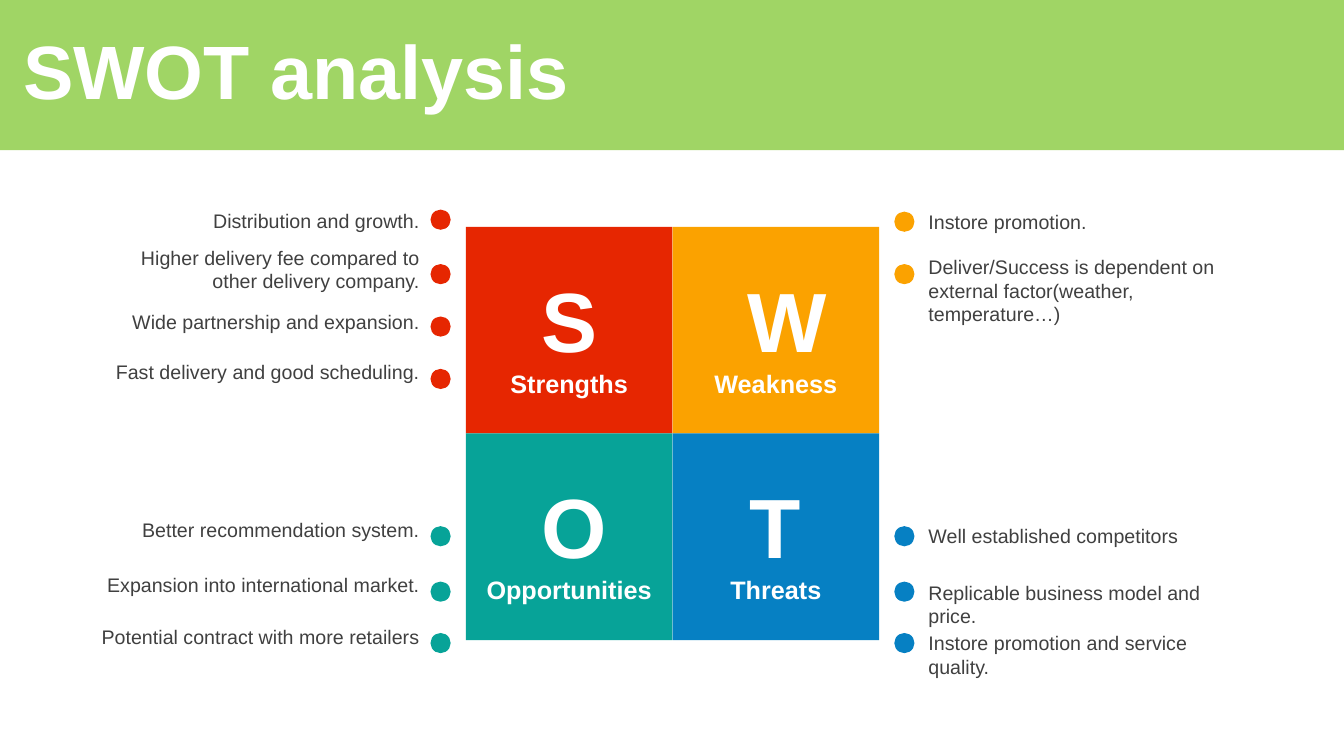
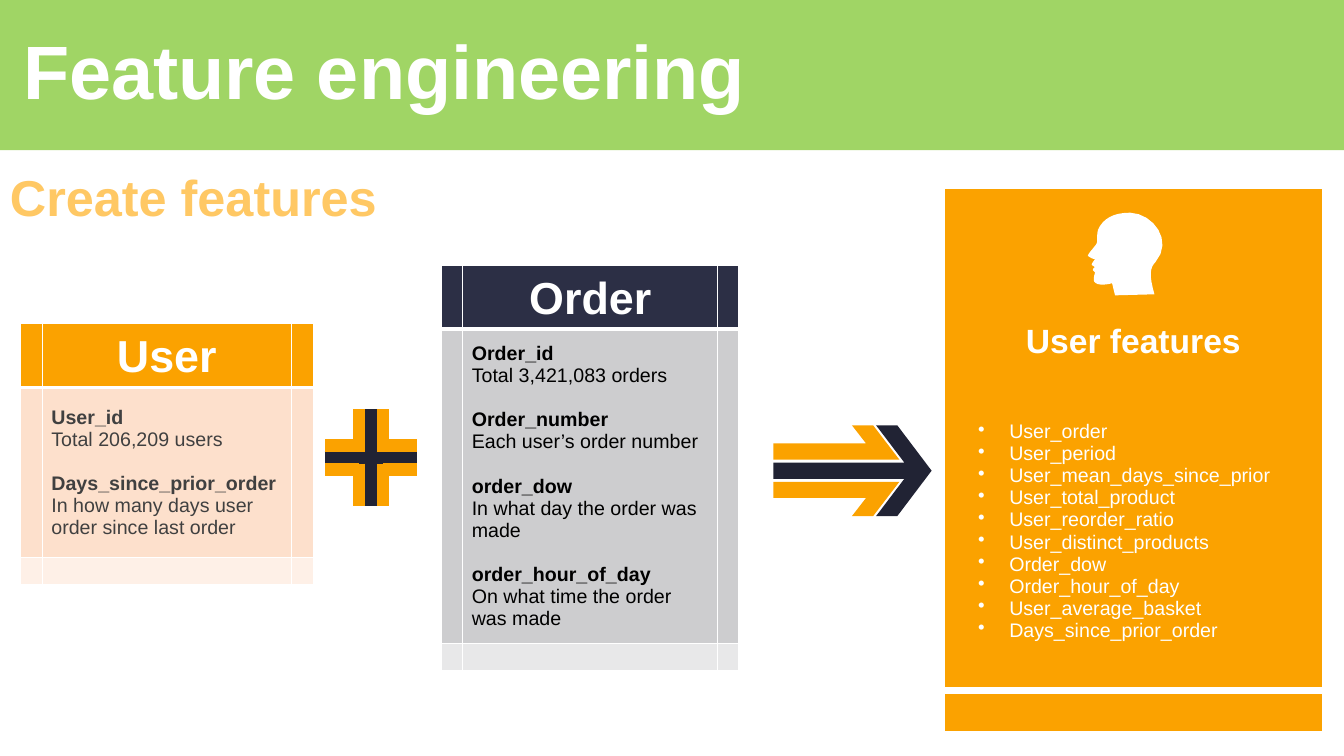
from dataclasses import dataclass

from lxml import etree
from pptx import Presentation
from pptx.dml.color import RGBColor
from pptx.enum import shapes, text
from pptx.oxml import ns
from pptx import util as u


@dataclass(frozen=True)
class Theme:
    font: str = "Arial"
    band: str = "A0D565"
    white: str = "FFFFFF"
    black: str = "000000"
    body: str = "404040"
    accent: str = "FFC864"
    orange: str = "FBA200"
    red: str = "E62601"
    teal: str = "07A398"
    blue: str = "0680C3"
    navy: str = "2C2F45"
    ink: str = "212334"
    title: int = 54
    letter: int = 60
    subtitle: int = 36
    table_head: int = 32
    card_head: int = 24
    label: int = 18
    text: int = 14
    empty: int = 6


T = Theme()
WIDTH, HEIGHT = 13.33, 7.5
LEFT, CENTER, RIGHT = text.PP_ALIGN.LEFT, text.PP_ALIGN.CENTER, text.PP_ALIGN.RIGHT
TOP, MIDDLE, BOTTOM = text.MSO_ANCHOR.TOP, text.MSO_ANCHOR.MIDDLE, text.MSO_ANCHOR.BOTTOM

SWOT = [
    ("S", "Strengths", T.red, [
        (2.08, 2.02, "Distribution and growth."),
        (2.62, 2.39, "Higher delivery fee compared to other delivery company."),
        (3.14, 3.03, "Wide partnership and expansion."),
        (3.66, 3.52, "Fast delivery and good scheduling.")]),
    ("W", "Weakness", T.orange, [
        (2.1, 2.03, "Instore promotion."),
        (2.62, 2.48, "Deliver/Success is dependent on external factor(weather, temperature…)")]),
    ("O", "Opportunities", T.teal, [
        (5.22, 5.09, "Better recommendation system."),
        (5.77, 5.63, "Expansion into international market."),
        (6.28, 6.15, "Potential contract with more retailers")]),
    ("T", "Threats", T.blue, [
        (5.22, 5.15, "Well established competitors"),
        (5.77, 5.71, "Replicable business model and price."),
        (6.28, 6.21, "Instore promotion and service quality.")]),
]
TILE = 2.05
GRID_LEFT, GRID_TOP = 4.62, 2.25
SIDES = [
    {"dot": 4.27, "left": 0.87, "width": 3.39, "align": RIGHT},
    {"dot": 8.87, "left": 9.11, "width": 3.37, "align": LEFT},
]

SOURCES = [
    {"name": "Order", "at": (4.38, 2.63), "cols": (0.21, 2.53, 0.21), "rows": (0.62, 3.12, 0.27),
     "fills": (T.navy, "CDCDCF", "E8E8E9"), "color": T.black,
     "fields": [("Order_id", "Total 3,421,083 orders"),
                ("Order_number", "Each user’s order number"),
                ("order_dow", "In what day the order was made"),
                ("order_hour_of_day", "On what time the order was made")]},
    {"name": "User", "at": (0.2, 3.21), "cols": (0.22, 2.47, 0.22), "rows": (0.62, 1.69, 0.27),
     "fills": (T.orange, "FDE0CC", "FEF0E7"), "color": T.body,
     "fields": [("User_id", "Total 206,209 users"),
                ("Days_since_prior_order", "In how many days user order since last order")]},
]
FEATURES = ["User_order", "User_period", "User_mean_days_since_prior", "User_total_product",
            "User_reorder_ratio", "User_distinct_products", "Order_dow", "Order_hour_of_day",
            "User_average_basket", "Days_since_prior_order"]

HEAD = [
    (11.21, 2.11), (11.04, 2.11, 10.94, 2.17, 10.89, 2.28),
    (10.87, 2.37, 10.9, 2.4, 10.86, 2.44), (10.83, 2.48, 10.79, 2.52, 10.79, 2.54),
    (10.81, 2.55, 10.83, 2.57, 10.86, 2.57), (10.85, 2.59, 10.82, 2.62, 10.83, 2.63),
    (10.86, 2.65), (10.85, 2.66, 10.84, 2.66, 10.84, 2.68),
    (10.84, 2.69, 10.87, 2.7, 10.86, 2.71), (10.85, 2.74, 10.84, 2.79, 10.86, 2.8),
    (10.88, 2.83, 10.96, 2.83, 11.03, 2.81), (11.06, 2.93), (11.45, 2.92),
    (11.4, 2.74, 11.4, 2.66, 11.46, 2.6), (11.64, 2.39, 11.44, 2.12, 11.21, 2.11),
]
ARROW_AXIS = 4.67
ARROW = [(8.69, 4.22), (8.9, 4.22), (9.24, 4.67), (8.9, 5.12), (8.69, 5.12),
         (8.97, 4.75), (7.67, 4.75), (7.67, 4.59), (8.97, 4.59)]
FIN = [(8.45, 4.22), (8.66, 4.22), (8.92, 4.56), (7.67, 4.56), (7.67, 4.4), (8.59, 4.4)]
PLUS = {"x": 3.68, "y": 4.54, "reach_x": 0.46, "reach_y": 0.48,
        "offset": 0.12, "gap_x": 0.12, "gap_y": 0.06, "weight": 9}


def apply(target, values):
    for name, value in values.items():
        setattr(target, name, value)


def rgb(color):
    return RGBColor.from_string(color)


def paint(shape, color):
    shape.shadow.inherit = False
    shape.fill.solid()
    shape.fill.fore_color.rgb = rgb(color)
    shape.line.fill.background()


def write(para, words, size, color, bold=False, **layout):
    apply(para, layout)
    span = para.add_run()
    span.text = words
    apply(span.font, {"name": T.font, "size": u.Pt(size), "bold": bold})
    span.font.color.rgb = rgb(color)


def add_text(page, area, words, size, color, bold=False, anchor=TOP, inset_y=0.05, **layout):
    box = page.shapes.add_textbox(*map(u.Inches, area))
    apply(box.text_frame, {"word_wrap": True, "vertical_anchor": anchor,
                           "margin_top": u.Inches(inset_y), "margin_bottom": u.Inches(inset_y)})
    write(box.text_frame.paragraphs[0], words, size, color, bold, **layout)


def add_block(page, kind, area, color):
    paint(page.shapes.add_shape(kind, *map(u.Inches, area)), color)


def add_outline(page, points, color):
    scaled = [tuple(map(u.Inches, point)) for point in points]
    builder = page.shapes.build_freeform(*scaled[0])
    builder.add_line_segments(scaled[1:], close=True)
    paint(builder.convert_to_shape(), color)


def flatten(segments, steps=8):
    points = [segments[0]]
    for segment in segments[1:]:
        if len(segment) == 2:
            points.append(segment)
            continue
        start, first, second, end = points[-1], segment[:2], segment[2:4], segment[4:]
        for step in range(1, steps + 1):
            t = step / steps
            points.append(tuple(
                (1 - t) ** 3 * a + 3 * (1 - t) ** 2 * t * b + 3 * (1 - t) * t ** 2 * c + t ** 3 * d
                for a, b, c, d in zip(start, first, second, end)))
    return points


def add_line(page, ends, color, weight):
    line = page.shapes.add_connector(shapes.MSO_CONNECTOR.STRAIGHT, *map(u.Inches, ends))
    line.line.color.rgb = rgb(color)
    line.line.width = u.Pt(weight)
    etree.SubElement(line._element.spPr, ns.qn("a:effectLst"))


def add_grid(page, at, cols, rows):
    frame = page.shapes.add_table(len(rows), len(cols),
                                  *map(u.Inches, (*at, sum(cols), sum(rows))))
    table = frame.table
    apply(table, {"first_row": False, "horz_banding": False})
    table._tbl.tblPr.find(ns.qn("a:tableStyleId")).text = "{2D5ABB26-0587-4C30-8999-92F81FD0307C}"
    for col, width in zip(table.columns, cols):
        col.width = u.Inches(width)
    for row, height in zip(table.rows, rows):
        row.height = u.Inches(height)
    return table


def format_cell(cell, color, borders):
    props = cell._tc.get_or_add_tcPr()
    for side in "LRTB":
        if side in borders:
            line = etree.SubElement(props, ns.qn("a:ln" + side), w=str(u.Pt(borders[side])))
            fill = etree.SubElement(line, ns.qn("a:solidFill"))
            etree.SubElement(fill, ns.qn("a:srgbClr"), val=T.white)
    cell.fill.solid()
    cell.fill.fore_color.rgb = rgb(color)


def shrink_empty(table):
    for cell in table.iter_cells():
        if not cell.text_frame.text:
            apply(cell, dict.fromkeys(
                ("margin_left", "margin_right", "margin_top", "margin_bottom"), 0))
            cell.text_frame.paragraphs[0]._p.get_or_add_endParaRPr().set("sz", str(T.empty * 100))


def next_para(frame, index):
    return frame.add_paragraph() if index else frame.paragraphs[0]


def add_source(page, source):
    table = add_grid(page, source["at"], source["cols"], source["rows"])
    for r, color in enumerate(source["fills"]):
        for c in range(len(source["cols"])):
            format_cell(table.cell(r, c), color,
                        {"L": 1, "R": 1, "T": 3 if r == 1 else 1, "B": 1 if r else 3})
    head, body = table.cell(0, 1), table.cell(1, 1)
    for cell, anchor in ((head, BOTTOM), (body, MIDDLE)):
        apply(cell, {"vertical_anchor": anchor,
                     "margin_left": u.Inches(0.09), "margin_right": u.Inches(0.09)})
    write(head.text_frame.paragraphs[0], source["name"], T.table_head, T.white, True,
          alignment=CENTER)
    for index, (field, meaning) in enumerate(source["fields"]):
        gap = {"space_before": u.Pt(16)} if index else {}
        write(next_para(body.text_frame, index), field, T.text, source["color"], True, **gap)
        write(body.text_frame.add_paragraph(), meaning, T.text, source["color"])
    shrink_empty(table)


def add_feature_card(page):
    table = add_grid(page, (9.37, 1.88), (0.23, 3.27, 0.23), (1.28, 0.53, 3.16, 0.4))
    for r in range(4):
        borders = {2: {"B": 6}, 3: {"T": 6}}.get(r, {})
        for c in range(3):
            format_cell(table.cell(r, c), T.orange, borders)
        if r != 2:
            table.cell(r, 0).merge(table.cell(r, 2))
    write(table.cell(1, 0).text_frame.paragraphs[0], "User features", T.card_head, T.white, True,
          alignment=CENTER)
    body = table.cell(2, 1)
    body.vertical_anchor = MIDDLE
    indent = u.Inches(0.31)
    for index, feature in enumerate(FEATURES):
        para = next_para(body.text_frame, index)
        props = para._p.get_or_add_pPr()
        props.set("marL", str(indent))
        props.set("indent", str(-indent))
        etree.SubElement(props, ns.qn("a:buChar"), char="•")
        write(para, feature, T.text, T.white)
    shrink_empty(table)


def add_plus(page):
    x, y, weight, offset = PLUS["x"], PLUS["y"], PLUS["weight"], PLUS["offset"]
    reach_x, reach_y = PLUS["reach_x"], PLUS["reach_y"]
    add_line(page, (x, y - reach_y, x, y + reach_y), T.ink, weight)
    add_line(page, (x - reach_x, y, x + reach_x, y), T.ink, weight)
    for h in (-1, 1):
        for v in (-1, 1):
            side, level = x + h * offset, y + v * offset
            add_line(page, (side, y + v * PLUS["gap_y"], side, y + v * reach_y), T.orange, weight)
            add_line(page, (x + h * PLUS["gap_x"], level, x + h * reach_x, level),
                     T.orange, weight)


def add_page(deck, title):
    page = deck.slides.add_slide(deck.slide_layouts[6])
    add_block(page, shapes.MSO_SHAPE.RECTANGLE, (0, 0, WIDTH, 1.49), T.band)
    add_text(page, (0.13, 0.35, 13.11, 0.79), title, T.title, T.white, True, MIDDLE,
             line_spacing=0.9)
    return page


def build_swot(deck):
    page = add_page(deck, "SWOT analysis")
    for index, (letter, label, color, points) in enumerate(SWOT):
        row, col = divmod(index, 2)
        left, top = GRID_LEFT + col * TILE, GRID_TOP + row * TILE
        add_block(page, shapes.MSO_SHAPE.RECTANGLE, (left, top, TILE, TILE), color)
        add_text(page, (left + 0.65, top + 0.41, 0.74, 1.01), letter, T.letter, T.white, True,
                 inset_y=0, alignment=CENTER)
        add_text(page, (left, top + 1.35, TILE, 0.4), label, T.label, T.white, True, MIDDLE,
                 alignment=CENTER)
        side = SIDES[col]
        for dot_top, text_top, words in points:
            add_block(page, shapes.MSO_SHAPE.FLOWCHART_CONNECTOR,
                      (side["dot"], dot_top, 0.2, 0.2), color)
            add_text(page, (side["left"], text_top, side["width"], 0.34), words, T.text, T.body,
                     alignment=side["align"])


def build_features(deck):
    page = add_page(deck, "Feature engineering")
    add_text(page, (0, 1.59, 4.23, 0.71), "Create features", T.subtitle, T.accent, True, MIDDLE)
    add_feature_card(page)
    add_outline(page, flatten(HEAD), T.white)
    for source in SOURCES:
        add_source(page, source)
    add_outline(page, ARROW, T.ink)
    add_outline(page, FIN, T.orange)
    add_outline(page, [(x, 2 * ARROW_AXIS - y) for x, y in FIN], T.orange)
    add_plus(page)


def main():
    deck = Presentation()
    apply(deck, {"slide_width": u.Inches(WIDTH), "slide_height": u.Inches(HEIGHT)})
    build_swot(deck)
    build_features(deck)
    deck.save("out.pptx")


if __name__ == "__main__":
    main()
